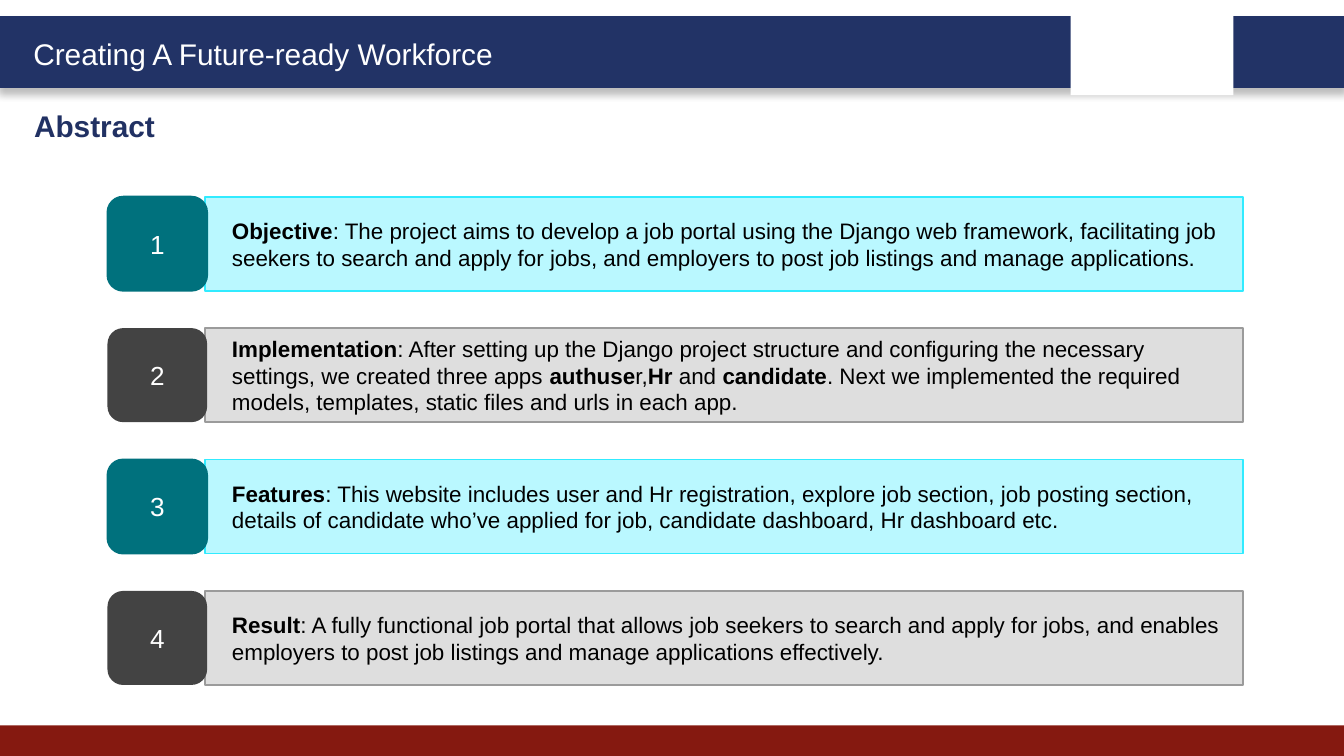
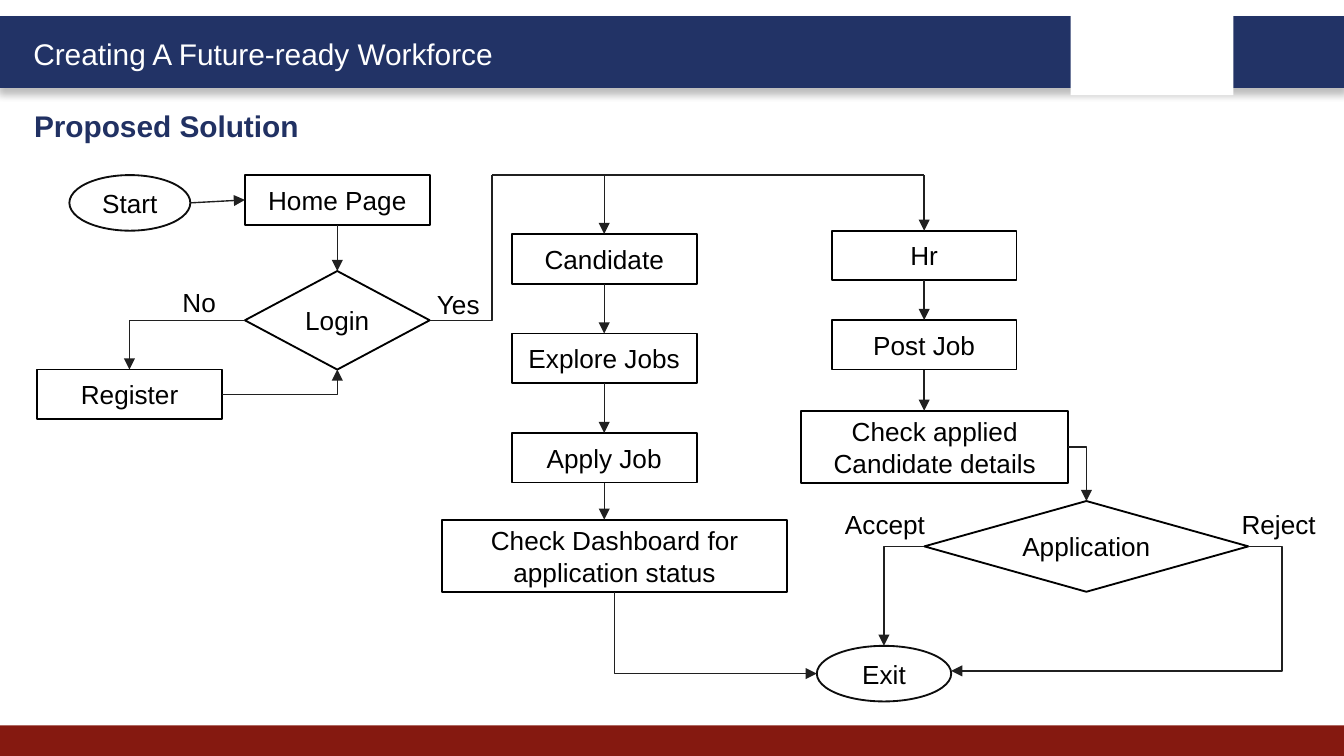
"""Build two project slides: an abstract and a job portal flowchart."""
from dataclasses import dataclass

from lxml.etree import SubElement
from pptx import Presentation
from pptx.dml.color import RGBColor
from pptx.enum.shapes import MSO_CONNECTOR, MSO_SHAPE
from pptx.enum.text import MSO_ANCHOR, PP_ALIGN
from pptx.oxml.ns import qn
from pptx.util import Pt


@dataclass(frozen=True)
class Theme:
    font: str = "Arial"
    navy: str = "223366"
    heading: str = "213163"
    red: str = "851910"
    white: str = "FFFFFF"
    black: str = "000000"
    ellipse: str = "0D0D0D"
    arrow: str = "202020"
    teal: str = "00717D"
    cyan: str = "BAF8FF"
    cyan_line: str = "31EBFF"
    dark: str = "434343"
    gray: str = "DEDEDE"
    gray_line: str = "9B9B9B"
    title_size: int = 16
    node_size: int = 14
    body_size: int = 12


T = Theme()


def add_box(s, kind, at, fill=None, line=None, weight=1):
    """Add a preset shape without a shadow."""
    sp = s.shapes.add_shape(kind, *map(Pt, at))
    sp.shadow.inherit = False
    if fill:
        sp.fill.solid()
        sp.fill.fore_color.rgb = RGBColor.from_string(fill)
    else:
        sp.fill.background()
    if line:
        sp.line.color.rgb = RGBColor.from_string(line)
        sp.line.width = Pt(weight)
    else:
        sp.line.fill.background()
    return sp


def write(sp, runs, size, color, align=PP_ALIGN.CENTER, bold=False):
    """Fill a shape with one paragraph of runs and return the paragraph."""
    tf = sp.text_frame
    tf.word_wrap = True
    p = tf.paragraphs[0]
    p.alignment = align
    p.font.name = T.font
    p.font.size = Pt(size)
    p.font.bold = bold
    p.font.color.rgb = RGBColor.from_string(color)
    for text in runs:
        p.add_run().text = text
    return p


prs = Presentation()
prs.slide_width, prs.slide_height = Pt(720), Pt(405)

slides = []
for title in ("Abstract", "Proposed Solution"):
    s = prs.slides.add_slide(prs.slide_layouts[6])
    slides.append(s)
    band = add_box(s, MSO_SHAPE.RECTANGLE, (0, 9.4, 720, 36.8), T.navy, T.navy, 2)
    effects = band._element.spPr.find(qn("a:effectLst"))
    shadow = SubElement(effects, qn("a:outerShdw"), blurRad=str(Pt(4)),
                        dist=str(Pt(3)), dir="5400000", rotWithShape="0")
    tint = SubElement(shadow, qn("a:srgbClr"), val=T.black)
    SubElement(tint, qn("a:alpha"), val="25000")
    add_box(s, MSO_SHAPE.RECTANGLE, (0, 388.6, 720, 16.4), T.red)
    add_box(s, MSO_SHAPE.RECTANGLE, (573.6, 5, 87.2, 46), T.white)
    for text, at, color, bold in (
        ("Creating A Future-ready Workforce", (10.8, 15.4, 272, 26.6), T.white, False),
        (title, (11.2, 54, 348.5, 26.6), T.heading, True),
    ):
        tb = s.shapes.add_textbox(*map(Pt, at))
        write(tb, [text], T.title_size, color, PP_ALIGN.LEFT, bold)

abstract, flow = slides

# Runs alternate between bold and regular.
points = [
    ["Objective", ": The project aims to develop a job portal using the Django web "
     "framework, facilitating job seekers to search and apply for jobs, and employers "
     "to post job listings and manage applications."],
    ["Implementation", ": After setting up the Django project structure and configuring "
     "the necessary settings, we created three apps ", "authuse", "r,", "Hr", " and ",
     "candidate", ". Next we implemented the required models, templates, static files "
     "and urls in each app."],
    ["Features", ": This website includes user and Hr registration, explore job section, "
     "job posting section, details of candidate who’ve applied for job, candidate "
     "dashboard, Hr dashboard etc."],
    ["Result", ": A fully functional job portal that allows job seekers to search and "
     "apply for jobs, and enables employers to post job listings and manage "
     "applications effectively."],
]
styles = [(T.cyan, T.cyan_line, T.teal, T.teal), (T.gray, T.gray_line, T.dark, None)]
for i, runs in enumerate(points):
    fill, line, badge_fill, badge_line = styles[i % 2]
    top = 105.4 + 70.4 * i
    panel = add_box(abstract, MSO_SHAPE.RECTANGLE, (110, top, 556, 50.4), fill, line)
    p = write(panel, runs, T.body_size, T.black, PP_ALIGN.LEFT)
    p._p.get_or_add_pPr().set("marL", str(Pt(7.2)))
    for r in p.runs[::2]:
        r.font.bold = True
    badge = add_box(abstract, MSO_SHAPE.ROUNDED_RECTANGLE, (57.6, top, 53.4, 50.4),
                    badge_fill, badge_line)
    write(badge, [str(i + 1)], T.node_size, T.white)
    for sp in (panel, badge):
        sp.text_frame.vertical_anchor = MSO_ANCHOR.MIDDLE

W, H, TALL = 99, 26.6, 38.8
RECT, OVAL, DIAMOND = MSO_SHAPE.RECTANGLE, MSO_SHAPE.OVAL, MSO_SHAPE.DIAMOND
nodes = {}
for text, kind, at in (
    ("Start", OVAL, (37.2, 93.8, 64.8, 29.8)),
    ("Home Page", RECT, (131.2, 93.8, W, H)),
    ("Login", DIAMOND, (131.2, 145.2, W, 52.8)),
    ("Register", RECT, (19.9, 198, W, H)),
    ("Candidate", RECT, (274.2, 125.4, W, H)),
    ("Explore Jobs", RECT, (274.2, 178.7, W, H)),
    ("Apply Job", RECT, (274.2, 232, W, H)),
    ("Check Dashboard for application status", RECT, (236.8, 278.4, 185, TALL)),
    ("Hr", RECT, (445.6, 123.6, W, H)),
    ("Post Job", RECT, (445.6, 171.4, W, H)),
    ("Check applied Candidate details", RECT, (429.2, 220, 143.2, TALL)),
    ("Application", DIAMOND, (495.2, 268.4, 173.6, 48.6)),
    ("Exit", OVAL, (437.6, 346, 72, 29.8)),
):
    sp = add_box(flow, kind, at, line=T.ellipse if kind == OVAL else T.black)
    sp.text_frame.vertical_anchor = MSO_ANCHOR.MIDDLE
    write(sp, [text], T.node_size, T.black)
    nodes[text] = sp

for text, at in (
    ("No", (90.7, 149.8, 36, 24.5)),
    ("Yes", (227, 151.2, 45.4, 24.5)),
    ("Accept", (445.6, 268.8, 72, 24.5)),
    ("Reject", (658, 268.8, 62, 24.5)),
):
    write(flow.shapes.add_textbox(*map(Pt, at)), [text], T.node_size, T.black, PP_ALIGN.LEFT)

TOP, LEFT, BOTTOM, RIGHT = range(4)
BUS, FORK, CAND_X, HR_X = 93.8, 263.5, 323.7, 495.1
DASHBOARD, DETAILS = "Check Dashboard for application status", "Check applied Candidate details"
for begin, end, shape, arrow in (
    ((102, 108.7), ("Home Page", LEFT), "line", "tailEnd"),
    (("Home Page", BOTTOM), ("Login", TOP), "line", "tailEnd"),
    (("Candidate", BOTTOM), ("Explore Jobs", TOP), "line", "tailEnd"),
    (("Explore Jobs", BOTTOM), ("Apply Job", TOP), "line", "tailEnd"),
    (("Apply Job", BOTTOM), (CAND_X, 278.4), "line", "tailEnd"),
    (("Hr", BOTTOM), ("Post Job", TOP), "line", "tailEnd"),
    (("Post Job", BOTTOM), (HR_X, 220), "line", "tailEnd"),
    (("Login", LEFT), ("Register", TOP), "bentConnector2", "tailEnd"),
    (("Register", RIGHT), ("Login", BOTTOM), "bentConnector2", "tailEnd"),
    (("Login", RIGHT), (FORK, BUS), "bentConnector2", None),
    ((FORK, BUS), (HR_X, BUS), "line", None),
    ((CAND_X, BUS), ("Candidate", TOP), "line", "tailEnd"),
    ((HR_X, BUS), ("Hr", TOP), "line", "tailEnd"),
    ((DETAILS, RIGHT), ("Application", TOP), "bentConnector2", "tailEnd"),
    (("Application", LEFT), (473.6, 346), "bentConnector2", "tailEnd"),
    (("Application", RIGHT), (509.6, 359.4), "bentConnector3", "tailEnd"),
    ((437.6, 360.9), (DASHBOARD, BOTTOM), "bentConnector2", "headEnd"),
):
    ends = []
    for a, b in (begin, end):
        if a in nodes:
            n = nodes[a]
            dx, dy = ((0.5, 0), (0, 0.5), (0.5, 1), (1, 0.5))[b]
            ends += [int(n.left + n.width * dx), int(n.top + n.height * dy)]
        else:
            ends += [Pt(a), Pt(b)]
    kind = MSO_CONNECTOR.STRAIGHT if shape == "line" else MSO_CONNECTOR.ELBOW
    c = flow.shapes.add_connector(kind, *ends)
    if begin[0] in nodes:
        c.begin_connect(nodes[begin[0]], begin[1])
    if end[0] in nodes:
        c.end_connect(nodes[end[0]], end[1])
    c.line.color.rgb = RGBColor.from_string(T.arrow)
    c.line.width = Pt(0.75)
    spPr = c._element.spPr
    geom = spPr.find(qn("a:prstGeom"))
    geom.set("prst", shape)
    if shape == "bentConnector3":
        SubElement(geom.find(qn("a:avLst")), qn("a:gd"), name="adj1", fmla="val -11300")
    if arrow:
        SubElement(spPr.find(qn("a:ln")), qn(f"a:{arrow}"), type="triangle")
    SubElement(spPr, qn("a:effectLst"))

prs.save("out.pptx")
